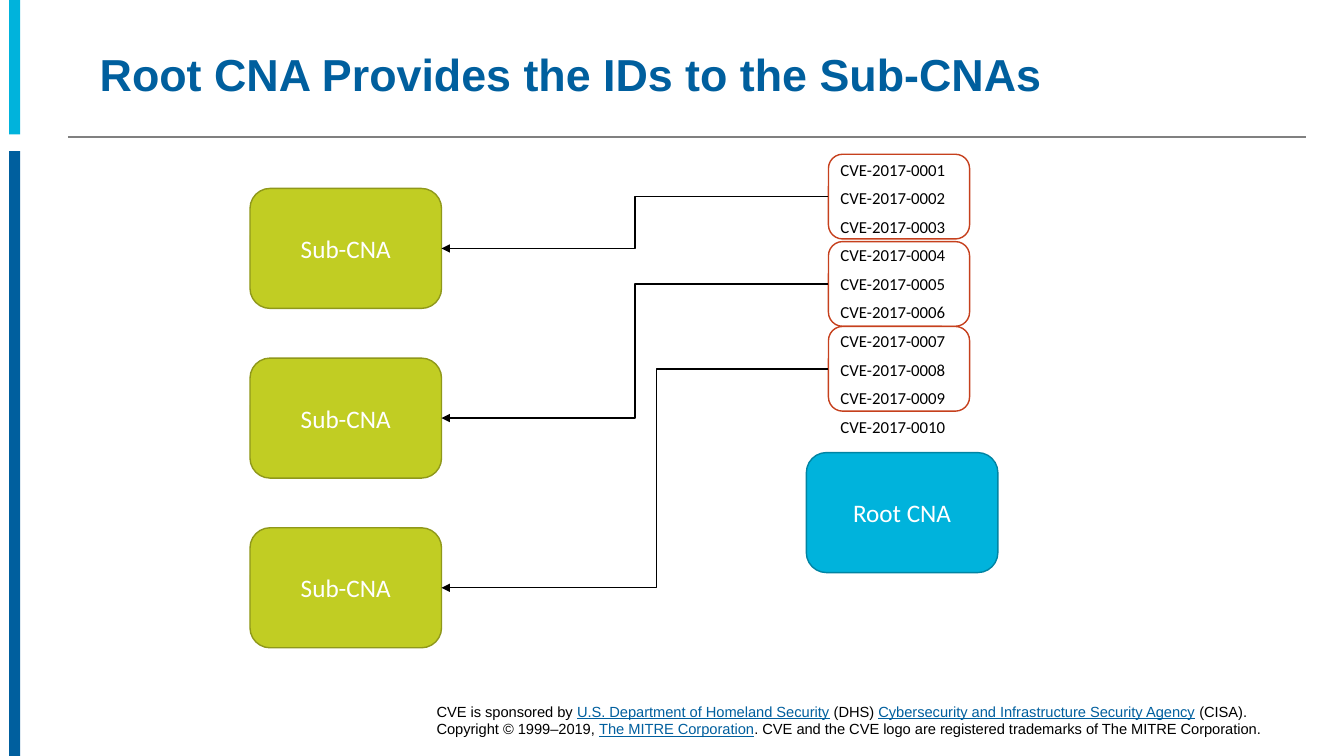
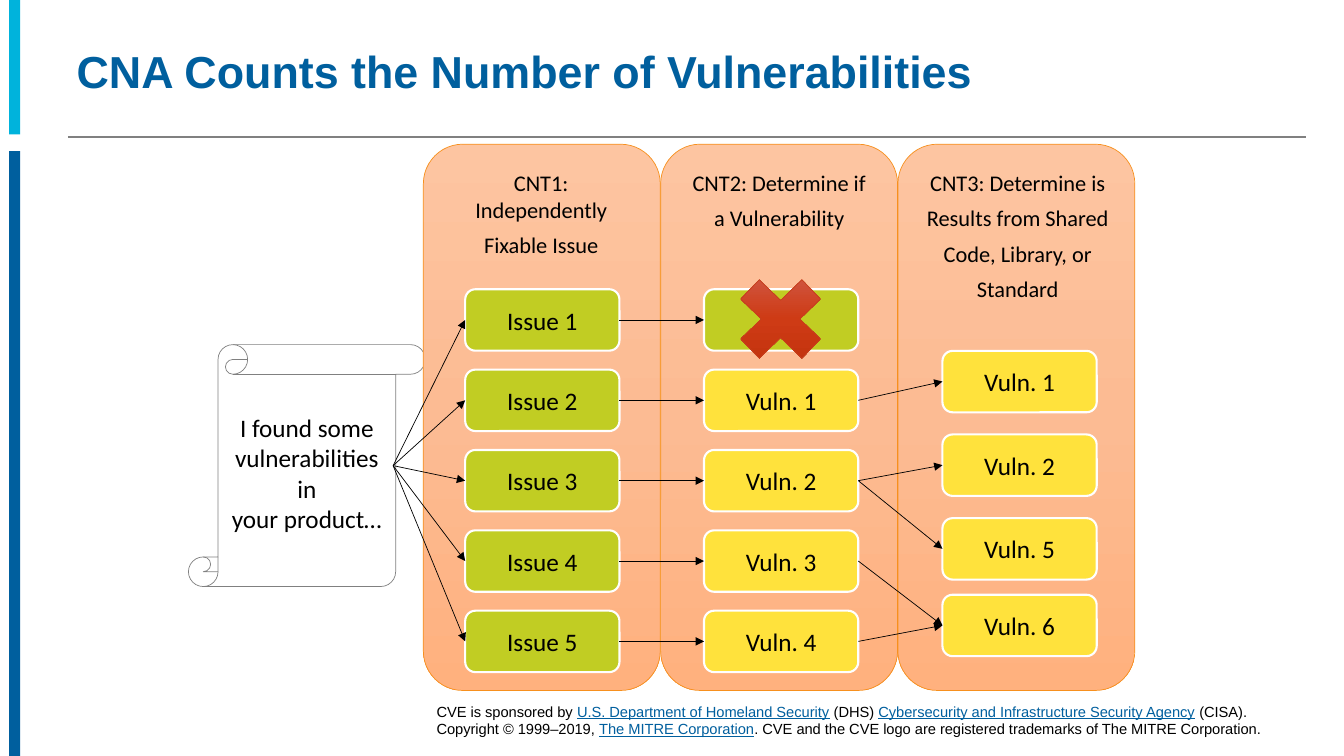
from copy import deepcopy
from dataclasses import dataclass
from typing import NamedTuple, Optional

from pptx import Presentation
from pptx.dml.color import RGBColor
from pptx.enum.shapes import MSO_CONNECTOR as Connector, MSO_SHAPE as Shape
from pptx.enum.text import MSO_ANCHOR as Anchor, MSO_AUTO_SIZE as AutoSize, PP_ALIGN as Align
from pptx.oxml.ns import qn
from pptx.oxml.xmlchemy import OxmlElement
from pptx.util import Pt

BLACK = RGBColor(0x00, 0x00, 0x00)
WHITE = RGBColor(0xFF, 0xFF, 0xFF)
GRAY = RGBColor(0x80, 0x80, 0x80)
NAVY = RGBColor(0x00, 0x5F, 0x9E)
CYAN = RGBColor(0x00, 0xB3, 0xDC)
DARK_CYAN = RGBColor(0x00, 0x84, 0xA3)
LIME = RGBColor(0xC1, 0xCD, 0x23)
DARK_LIME = RGBColor(0x8F, 0x98, 0x1A)
YELLOW = RGBColor(0xFF, 0xE2, 0x3C)
ORANGE = RGBColor(0xF7, 0x90, 0x1E)
RED = RGBColor(0xC6, 0x40, 0x1D)
PEACH = [RGBColor(0xFD, 0xC5, 0xA1), RGBColor(0xFC, 0xBB, 0x93), RGBColor(0xFF, 0xB1, 0x7E)]
CROSS_REDS = [RGBColor(0xD0, 0x5D, 0x4E), RGBColor(0xCE, 0x3B, 0x15), RGBColor(0xBF, 0x30, 0x0B)]

HEAD_FONT = "Arial"
BODY_FONT = "Calibri"
LEFT_SITE, RIGHT_SITE = 1, 3

FOOTER_PARTS = [
    ("CVE is sponsored by ", False),
    ("U.S. Department of Homeland Security", True),
    (" (DHS) ", False),
    ("Cybersecurity and Infrastructure Security Agency", True),
    (" (CISA). Copyright © 1999–2019, ", False),
    ("The MITRE Corporation", True),
    (". CVE and the CVE logo are registered trademarks of The MITRE Corporation.", False),
]


class Box(NamedTuple):
    left: float
    top: float
    width: float
    height: float

    def lengths(self) -> list:
        return [Pt(value) for value in self]


@dataclass
class Style:
    fill: Optional[RGBColor] = None
    line: Optional[RGBColor] = None
    weight: float = 1
    text: RGBColor = BLACK


@dataclass
class Stage:
    heading: list
    center: float


BAND_TOP = Style(fill=CYAN)
BAND_BOTTOM = Style(fill=NAVY)
SUB_CNA = Style(LIME, DARK_LIME, 1, WHITE)
ROOT_CNA = Style(CYAN, DARK_CYAN, 1, WHITE)
ID_RANGE = Style(line=RED)
SCROLL = Style(line=GRAY, weight=0.5)
PANEL = Style(line=ORANGE, weight=0.5)
CROSS = Style(line=RED, weight=0.5)
ISSUE = Style(LIME, WHITE, 1.5)
VULN = Style(YELLOW, WHITE, 1.5)

STAGES = [
    Stage(["CNT1: Independently", "Fixable Issue"], 386.6),
    Stage(["CNT2: Determine if", "a Vulnerability"], 556.6),
    Stage(["CNT3: Determine is", "Results from Shared", "Code, Library, or", "Standard"], 727),
]


def write_lines(frame, lines: list, size: float, color: RGBColor, align: Align, after: float = 0) -> None:
    frame.text = "\n".join(lines)
    for paragraph in frame.paragraphs:
        paragraph.alignment = align
        if after:
            paragraph.space_after = Pt(after)
        for run in paragraph.runs:
            run.font.name = BODY_FONT
            run.font.size = Pt(size)
            run.font.color.rgb = color


def add_block(slide, kind: Shape, box: Box, style: Style, *lines: str):
    block = slide.shapes.add_shape(kind, *box.lengths())
    block.shadow.inherit = False
    if style.fill is None:
        block.fill.background()
    else:
        block.fill.solid()
        block.fill.fore_color.rgb = style.fill
    if style.line is None:
        block.line.fill.background()
    else:
        block.line.color.rgb = style.line
        block.line.width = Pt(style.weight)
    if lines:
        write_lines(block.text_frame, lines, 18, style.text, Align.CENTER)
    return block


def add_list(slide, box: Box, lines: list, size: float, align: Align) -> None:
    frame = slide.shapes.add_textbox(*box.lengths()).text_frame
    frame.word_wrap = False
    write_lines(frame, lines, size, BLACK, align, 6)


def shade_down(block, colors: list) -> None:
    block.fill.gradient()
    block.fill.gradient_angle = 270
    stop_list = next(block._element.spPr.iter(qn("a:gsLst")))
    for _ in colors[2:]:
        stop_list.insert(1, deepcopy(stop_list[0]))
    for index, (stop, color) in enumerate(zip(block.fill.gradient_stops, colors)):
        stop.color.rgb = color
        stop.position = index / (len(colors) - 1)


def add_line(slide, kind: Connector, color: RGBColor, weight: float, ends: tuple = (0, 0, 0, 0)):
    line = slide.shapes.add_connector(kind, *[Pt(value) for value in ends])
    line.line.color.rgb = color
    line.line.width = Pt(weight)
    line._element.spPr.append(OxmlElement("a:effectLst"))
    return line


def add_arrow(slide, source, target, kind: Connector, weight: float, sites: tuple = (RIGHT_SITE, LEFT_SITE)):
    arrow = add_line(slide, kind, BLACK, weight)
    arrow.begin_connect(source, sites[0])
    arrow.end_connect(target, sites[1])
    head = OxmlElement("a:tailEnd")
    head.set("type", "triangle")
    arrow.line._get_or_add_ln().append(head)
    return arrow


def bend_at(arrow, share: int) -> None:
    guide = OxmlElement("a:gd")
    guide.set("name", "adj1")
    guide.set("fmla", f"val {share}")
    arrow._element.spPr.find(qn("a:prstGeom")).get_or_add_avLst().append(guide)


def add_footer(slide) -> None:
    frame = slide.shapes.add_textbox(*Box(308.2, 498.2, 605.5, 32.4).lengths()).text_frame
    frame.word_wrap = True
    frame.margin_left = frame.margin_right = frame.margin_top = frame.margin_bottom = Pt(3.6)
    for words, linked in FOOTER_PARTS:
        run = frame.paragraphs[0].add_run()
        run.text = words
        run.font.name = HEAD_FONT
        run.font.size = Pt(10.5)
        run.font.color.rgb = NAVY if linked else BLACK
        run.font.underline = linked


def start_slide(deck, heading: str, box: Box):
    slide = deck.slides.add_slide(deck.slide_layouts[5])
    add_block(slide, Shape.RECTANGLE, Box(6.5, 0, 8, 96), BAND_TOP)
    add_block(slide, Shape.RECTANGLE, Box(6.5, 108, 8, 432), BAND_BOTTOM)
    add_line(slide, Connector.STRAIGHT, GRAY, 1, (48.5, 98, 933, 98))
    add_footer(slide)
    title = slide.shapes.title
    title.left, title.top, title.width, title.height = box.lengths()
    frame = title.text_frame
    frame.text = heading
    frame.auto_size = AutoSize.NONE
    frame.word_wrap = True
    frame.vertical_anchor = Anchor.MIDDLE
    paragraph = frame.paragraphs[0]
    paragraph.alignment = Align.LEFT
    paragraph.line_spacing = Pt(32)
    font = paragraph.runs[0].font
    font.name, font.size, font.bold = HEAD_FONT, Pt(32), True
    font.color.rgb = NAVY
    return slide


def build_id_slide(deck) -> None:
    slide = start_slide(deck, "Root CNA Provides the IDs to the Sub-CNAs", Box(64, 21.6, 734.4, 68.4))
    sub_cnas = [
        add_block(slide, Shape.ROUNDED_RECTANGLE, Box(178.6, 134.6 + 121.2 * row, 136.8, 85.7), SUB_CNA, "Sub-CNA")
        for row in range(3)
    ]
    add_block(slide, Shape.ROUNDED_RECTANGLE, Box(576, 323.3, 136.8, 85.7), ROOT_CNA, "Root CNA")
    id_ranges = [
        add_block(slide, Shape.ROUNDED_RECTANGLE, Box(591.8, top, 100.8, 60.5), ID_RANGE)
        for top in (110.2, 172.6, 233.2)
    ]
    cve_ids = [f"CVE-2017-{number:04d}" for number in range(1, 11)]
    add_list(slide, Box(593.3, 110.2, 90.7, 207.4), cve_ids, 12, Align.LEFT)
    arrows = [
        add_arrow(slide, id_range, sub_cna, Connector.ELBOW, 1, (LEFT_SITE, RIGHT_SITE))
        for id_range, sub_cna in zip(id_ranges, sub_cnas)
    ]
    bend_at(arrows[-1], 44500)


def build_count_slide(deck) -> None:
    slide = start_slide(deck, "CNA Counts the Number of Vulnerabilities", Box(47.5, 19.4, 680.4, 68.4))
    report = add_block(slide, Shape.VERTICAL_SCROLL, Box(134.6, 246.2, 169.2, 172.8), SCROLL,
                       "I found some vulnerabilities in", "your product…")
    for column, stage in enumerate(STAGES):
        panel = add_block(slide, Shape.ROUNDED_RECTANGLE, Box(302.4 + 169.5 * column, 103, 169.2, 390.2), PANEL)
        shade_down(panel, PEACH)
        add_list(slide, Box(stage.center - 75, 117.4, 150, 25.8 * len(stage.heading)),
                 stage.heading, 16, Align.CENTER)

    def add_card(left: float, top: float, style: Style, *label: str):
        return add_block(slide, Shape.ROUNDED_RECTANGLE, Box(left, top, 110.2, 43.9), style, *label)

    rows = [206.6 + 57.4 * row for row in range(5)]
    issues = [add_card(332.3, top, ISSUE, f"Issue {number}") for number, top in enumerate(rows, 1)]
    rejected = add_card(502.9, rows[0], ISSUE)
    found = [add_card(502.9, top, VULN, f"Vuln. {number}") for number, top in enumerate(rows[1:], 1)]
    cross = add_block(slide, Shape.MATH_MULTIPLY, Box(515.5, 187.2, 84.2, 81.4), CROSS)
    shade_down(cross, CROSS_REDS)
    final = {
        number: add_card(673.2, top, VULN, f"Vuln. {number}")
        for number, top in ((1, 250.6), (2, 310.3), (5, 370.1), (6, 424.8))
    }

    for issue in issues:
        arrow = add_arrow(slide, report, issue, Connector.STRAIGHT, 0.5)
        arrow.begin_x = Pt(280.8)
    links = list(zip(issues, [rejected, *found]))
    links += [(found[number - 1], final[result]) for number, result in ((1, 1), (2, 2), (2, 5), (3, 6), (4, 6))]
    for source, target in links:
        add_arrow(slide, source, target, Connector.STRAIGHT, 0.5)


def main() -> None:
    deck = Presentation()
    deck.slide_width, deck.slide_height = Pt(960), Pt(540)
    build_id_slide(deck)
    build_count_slide(deck)
    deck.save("out.pptx")


if __name__ == "__main__":
    main()
